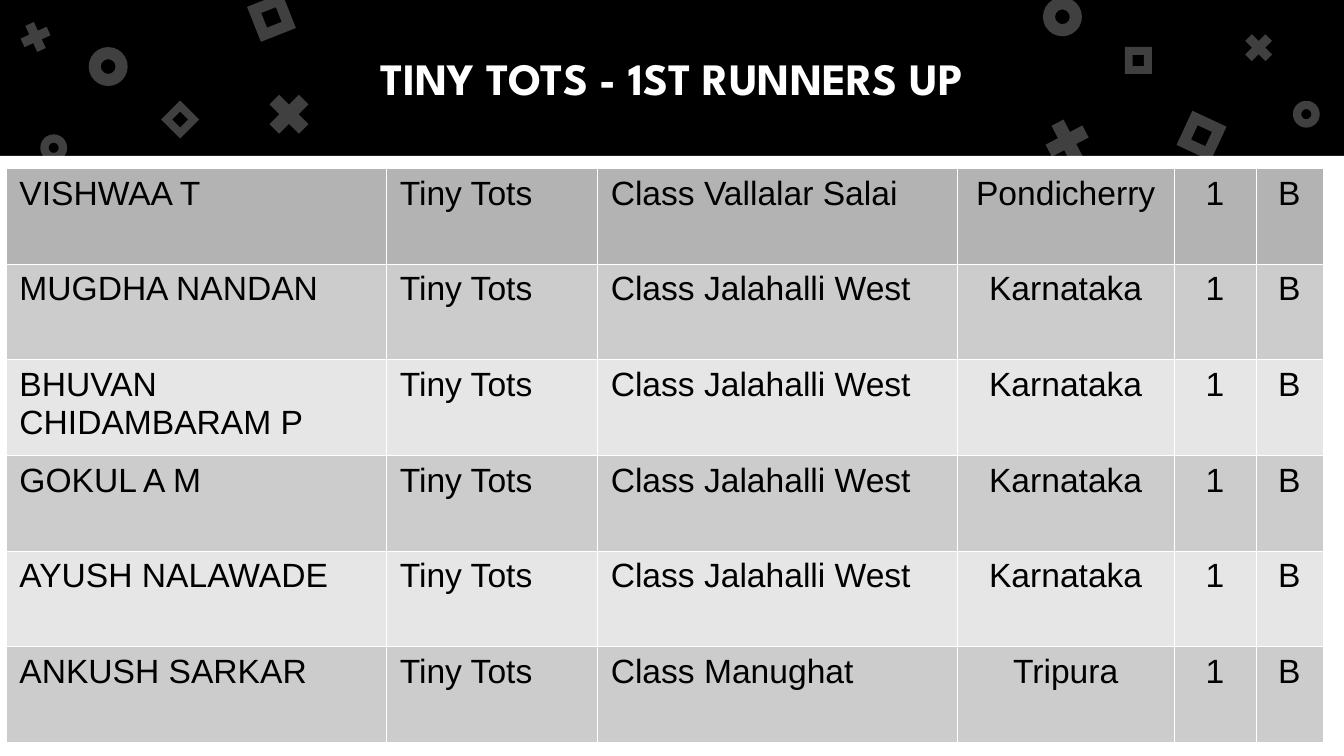
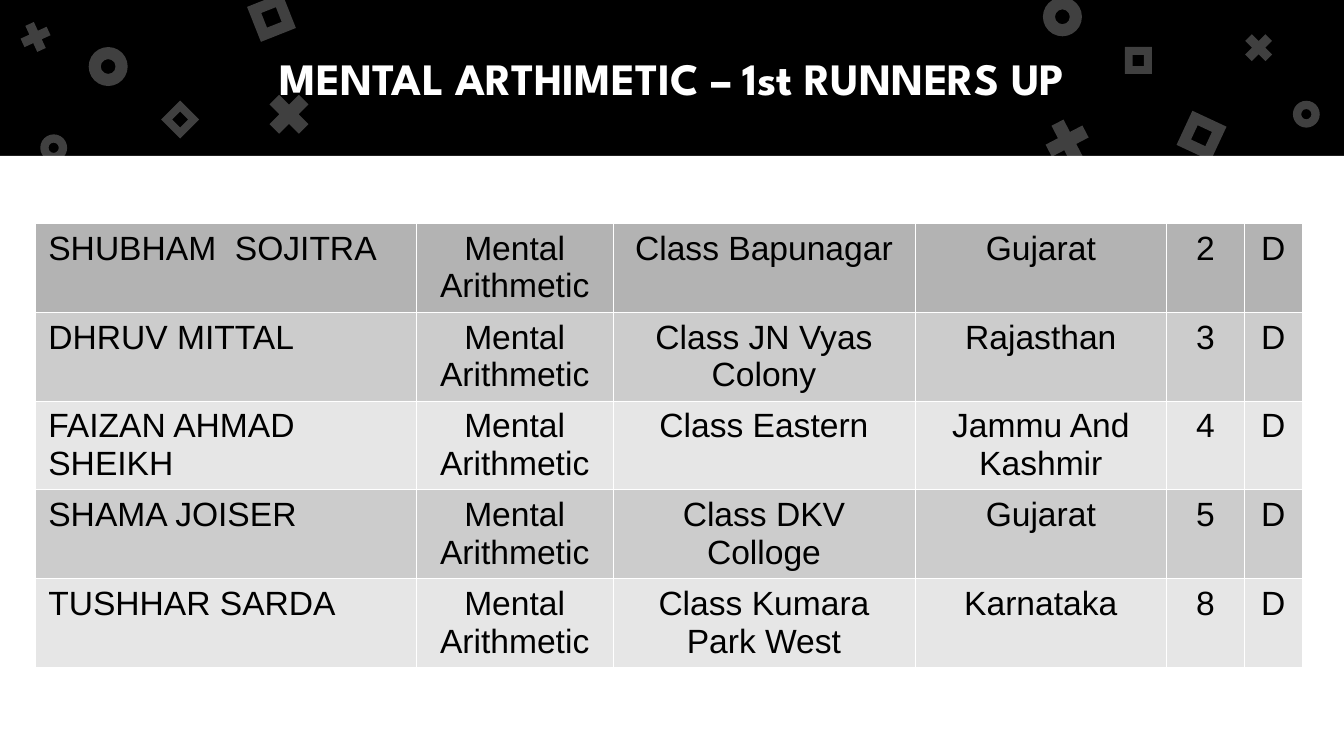
from dataclasses import dataclass

from lxml.etree import SubElement
from pptx import Presentation
from pptx.dml.color import RGBColor
from pptx.enum.shapes import MSO_SHAPE
from pptx.enum.text import MSO_ANCHOR, MSO_AUTO_SIZE, PP_ALIGN
from pptx.oxml.ns import qn
from pptx.util import Inches, Length, Pt


@dataclass(frozen=True)
class Theme:
    background: str = "7BD100"
    band: str = "000000"
    paper: str = "FFFFFF"
    ink: str = "000000"
    first_row: str = "B3B3B3"
    stripes: tuple[str, str] = ("CCCCCC", "E6E6E6")
    title_font: str = "League Spartan"
    body_font: str = "Arial"
    title_size: float = 24
    body_size: float = 18
    border_width: float = 0.06
    ornament_opacity: int = 25


@dataclass(frozen=True)
class Ornament:
    kind: MSO_SHAPE
    col: float
    row: float
    size: float
    rotation: float = 0


@dataclass(frozen=True)
class Results:
    title: str
    col: float
    row: float
    widths: tuple[float, ...]
    row_height: float
    left_columns: int
    entries: list[tuple[str, ...]]


THEME = Theme()
COLS, ROWS = 100, 56.25
WIDTH = Inches(10)
BAND_ROWS = 11.6
TITLE_MARGIN = 5
INSET = 1

RING, CROSS, FRAME = MSO_SHAPE.DONUT, MSO_SHAPE.MATH_MULTIPLY, MSO_SHAPE.FRAME
ADJUSTMENT = {RING: 0.31, CROSS: 0.24, FRAME: 0.29}
SMALL, MEDIUM, LARGE = 2, 2.9, 4.2

ORNAMENTS = [
    Ornament(RING, 6.6, 3.5, MEDIUM),
    Ornament(CROSS, 19.4, 6.4, LARGE),
    Ornament(FRAME, 18.8, -0.1, 2.8, 338.4),
    Ornament(RING, 77.6, -0.2, MEDIUM),
    Ornament(CROSS, 77.3, 8.4, LARGE, 17.5),
    Ornament(FRAME, 88, 8.7, 2.8, 25),
    Ornament(RING, 3, 10, SMALL),
    Ornament(CROSS, 1.2, 1.3, MEDIUM, 20.4),
    Ornament(FRAME, 12.4, 7.9, SMALL, 45),
    Ornament(RING, 96.2, 7.5, SMALL),
    Ornament(CROSS, 92.2, 2.1, MEDIUM),
    Ornament(FRAME, 83.7, 3.5, SMALL),
]

RESULTS = [
    Results(
        "TINY TOTS - 1ST RUNNERS UP",
        0.45, 12.5, (28.3, 15.7, 26.8, 16.1, 6.1, 5), 7.12, 3,
        [
            ("VISHWAA T", "Tiny Tots", "Class Vallalar Salai", "Pondicherry", "1", "B"),
            ("MUGDHA NANDAN", "Tiny Tots", "Class Jalahalli West", "Karnataka", "1", "B"),
            ("BHUVAN CHIDAMBARAM P", "Tiny Tots", "Class Jalahalli West", "Karnataka", "1", "B"),
            ("GOKUL A M", "Tiny Tots", "Class Jalahalli West", "Karnataka", "1", "B"),
            ("AYUSH NALAWADE", "Tiny Tots", "Class Jalahalli West", "Karnataka", "1", "B"),
            ("ANKUSH SARKAR", "Tiny Tots", "Class Manughat", "Tripura", "1", "B"),
        ],
    ),
    Results(
        "MENTAL ARTHIMETIC – 1st RUNNERS UP",
        2.6, 16.6, (28.4, 14.6, 22.5, 18.7, 5.8, 4.3), 6.61, 1,
        [
            ("SHUBHAM  SOJITRA", "Mental Arithmetic", "Class Bapunagar", "Gujarat", "2", "D"),
            ("DHRUV MITTAL", "Mental Arithmetic", "Class JN Vyas Colony", "Rajasthan", "3", "D"),
            ("FAIZAN AHMAD SHEIKH", "Mental Arithmetic", "Class Eastern", "Jammu And Kashmir", "4", "D"),
            ("SHAMA JOISER", "Mental Arithmetic", "Class DKV Colloge", "Gujarat", "5", "D"),
            ("TUSHHAR SARDA", "Mental Arithmetic", "Class Kumara Park West", "Karnataka", "8", "D"),
        ],
    ),
]


def grid(cells: float) -> Length:
    return Length(round(WIDTH * cells / COLS))


def write(tf, text: str, *, font: str, size: float, color: str,
          bold: bool = False, align: PP_ALIGN = PP_ALIGN.LEFT) -> None:
    p = tf.paragraphs[0]
    p.alignment = align
    r = p.add_run()
    r.text = text
    r.font.name = font
    r.font.size = Pt(size)
    r.font.bold = bold
    r.font.color.rgb = RGBColor.from_string(color)


def add_block(shapes, kind: MSO_SHAPE, col: float, row: float,
              width: float, height: float, color: str):
    sp = shapes.add_shape(kind, grid(col), grid(row), grid(width), grid(height))
    sp.shadow.inherit = False
    sp.fill.solid()
    sp.fill.fore_color.rgb = RGBColor.from_string(color)
    sp.line.fill.background()
    return sp


def add_ornament(shapes, item: Ornament):
    sp = add_block(shapes, item.kind, item.col, item.row, item.size, item.size, THEME.paper)
    sp.adjustments[0] = ADJUSTMENT[item.kind]
    sp.rotation = item.rotation
    color = sp._element.spPr.find(qn("a:solidFill")).find(qn("a:srgbClr"))
    SubElement(color, qn("a:alpha"), val=str(THEME.ornament_opacity * 1000))
    return sp


def decorate_layout(layout, shapes) -> None:
    layout.background.fill.solid()
    layout.background.fill.fore_color.rgb = RGBColor.from_string(THEME.background)
    for ph in list(layout.placeholders)[1:]:
        ph._element.getparent().remove(ph._element)
    parts = [
        add_block(shapes, MSO_SHAPE.RECTANGLE, 0, 0, COLS, BAND_ROWS, THEME.band),
        add_block(shapes, MSO_SHAPE.RECTANGLE, 0, BAND_ROWS, COLS, ROWS - BAND_ROWS, THEME.paper),
        *(add_ornament(shapes, item) for item in ORNAMENTS),
    ]
    for sp in parts:
        layout.shapes._spTree.append(sp._element)


def set_title(s, text: str) -> None:
    sp = s.shapes.title
    sp.left, sp.top = grid(TITLE_MARGIN), grid(0)
    sp.width, sp.height = grid(COLS - 2 * TITLE_MARGIN), grid(BAND_ROWS)
    tf = sp.text_frame
    tf.word_wrap = True
    tf.auto_size = MSO_AUTO_SIZE.NONE
    tf.vertical_anchor = MSO_ANCHOR.MIDDLE
    tf.margin_left = tf.margin_right = tf.margin_top = tf.margin_bottom = grid(INSET)
    write(tf, text, font=THEME.title_font, size=THEME.title_size,
          color=THEME.paper, bold=True, align=PP_ALIGN.CENTER)


def set_borders(cell) -> None:
    tc_pr = cell._tc.get_or_add_tcPr()
    for side in ("lnL", "lnR", "lnT", "lnB"):
        line = SubElement(tc_pr, qn(f"a:{side}"), w=str(Pt(THEME.border_width)))
        SubElement(SubElement(line, qn("a:solidFill")), qn("a:srgbClr"), val=THEME.paper)


def add_results(s, results: Results) -> None:
    count = len(results.entries)
    table = s.shapes.add_table(
        count, len(results.widths), grid(results.col), grid(results.row),
        grid(sum(results.widths)), grid(count * results.row_height),
    ).table
    table.first_row = table.horz_banding = False
    for column, width in zip(table.columns, results.widths):
        column.width = grid(width)
    for i, entry in enumerate(results.entries):
        table.rows[i].height = grid(results.row_height)
        fill = THEME.stripes[(i - 1) % 2] if i else THEME.first_row
        for j, text in enumerate(entry):
            cell = table.cell(i, j)
            set_borders(cell)
            cell.fill.solid()
            cell.fill.fore_color.rgb = RGBColor.from_string(fill)
            align = PP_ALIGN.LEFT if j < results.left_columns else PP_ALIGN.CENTER
            write(cell.text_frame, text, font=THEME.body_font,
                  size=THEME.body_size, color=THEME.ink, align=align)


def main() -> None:
    prs = Presentation()
    prs.slide_width, prs.slide_height = WIDTH, grid(ROWS)
    layout = prs.slide_layouts.get_by_name("Title Only")
    slides = [prs.slides.add_slide(layout) for _ in RESULTS]
    decorate_layout(layout, slides[0].shapes)
    for s, results in zip(slides, RESULTS):
        set_title(s, results.title)
        add_results(s, results)
    prs.save("out.pptx")


if __name__ == "__main__":
    main()
